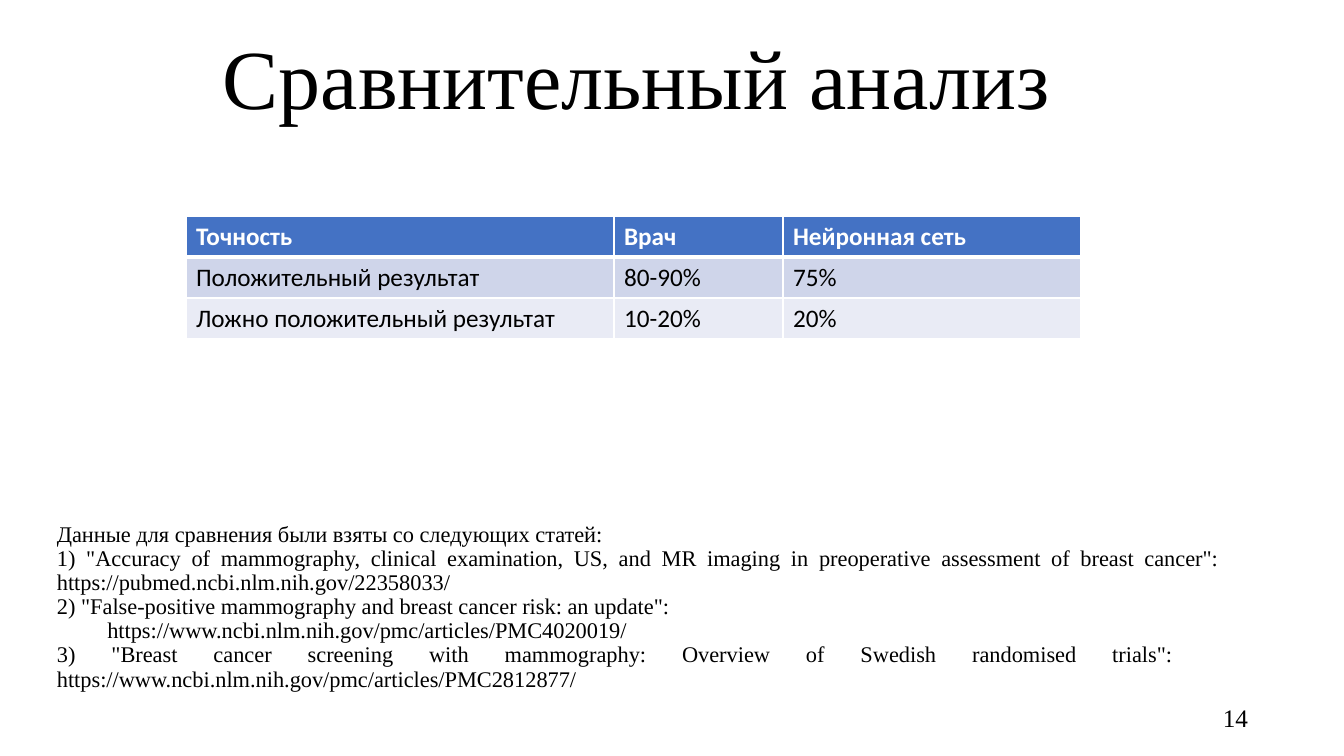
"""Build the slide comparing doctor and neural network accuracy."""
from lxml import etree
from pptx import Presentation
from pptx.dml.color import RGBColor
from pptx.enum.text import MSO_ANCHOR, PP_ALIGN
from pptx.oxml.ns import qn
from pptx.util import Pt

BOTTOM, MIDDLE = MSO_ANCHOR.BOTTOM, MSO_ANCHOR.MIDDLE
LEFT, RIGHT, JUSTIFY = PP_ALIGN.LEFT, PP_ALIGN.RIGHT, PP_ALIGN.JUSTIFY
SERIF, SANS = "Times New Roman", "Calibri"
COLORS = {"text": "000000", "white": "FFFFFF", "header": "4472C4",
          "band_dark": "CFD5EA", "band_light": "E9EBF5"}

TITLE = "Сравнительный анализ"
PAGE = "14"
ROWS = [
    ("Точность", "Врач", "Нейронная сеть"),
    ("Положительный результат", "80-90%", "75%"),
    ("Ложно положительный результат", "10-20%", "20%"),
]
ROW_FILLS = ["header", "band_dark", "band_light"]
COL_WIDTHS = [428, 169, 298]
ROW_HEIGHT = 41
SOURCES = [
    "Данные для сравнения были взяты со следующих статей:",
    '1) "Accuracy of mammography, clinical examination, US, and MR imaging in preoperative '
    'assessment of breast cancer": \thttps://pubmed.ncbi.nlm.nih.gov/22358033/',
    '2) "False-positive mammography and breast cancer risk: an update":',
    "\thttps://www.ncbi.nlm.nih.gov/pmc/articles/PMC4020019/",
    '3) "Breast cancer screening with mammography: Overview of Swedish randomised trials": '
    "\thttps://www.ncbi.nlm.nih.gov/pmc/articles/PMC2812877/",
]
TEXTS = [
    ((213, 0, 986, 133), [TITLE], 60, LEFT, BOTTOM, 0.9),
    ((1199, 697, 59, 40), [PAGE], 18, RIGHT, MIDDLE, 1.0),
    ((47, 493, 1211, 204), SOURCES, 16, JUSTIFY, BOTTOM, 0.9),
]


def px(n):
    return round(n * 914400 / 100.8)


def add_run(p, text, size, font, color, bold=False):
    r = p.add_run()
    r.text = text
    r.font.size, r.font.name, r.font.bold = Pt(size), font, bold
    r.font.color.rgb = RGBColor.from_string(COLORS[color])


def add_text(s, box, lines, size, align, anchor, spacing):
    tf = s.shapes.add_textbox(*map(px, box)).text_frame
    tf.word_wrap, tf.vertical_anchor = True, anchor
    for i, line in enumerate(lines):
        p = tf.add_paragraph() if i else tf.paragraphs[0]
        p.alignment, p.line_spacing = align, spacing
        add_run(p, line, size, SERIF, "text")


def add_border(cell, side, width):
    ln = etree.SubElement(cell._tc.get_or_add_tcPr(), qn(f"a:ln{side}"), w=str(Pt(width)))
    fill = etree.SubElement(ln, qn("a:solidFill"))
    etree.SubElement(fill, qn("a:srgbClr"), val=COLORS["white"])


def add_accuracy_table(s, left, top):
    size = px(sum(COL_WIDTHS)), px(ROW_HEIGHT * len(ROWS))
    table = s.shapes.add_table(len(ROWS), len(COL_WIDTHS), px(left), px(top), *size).table
    for col, width in zip(table.columns, COL_WIDTHS):
        col.width = px(width)
    for i, row in enumerate(ROWS):
        table.rows[i].height = px(ROW_HEIGHT)
        for j, text in enumerate(row):
            cell = table.cell(i, j)
            widths = {"L": 1, "R": 1, "T": 3 if i == 1 else 1, "B": 3 if i == 0 else 1}
            for side, width in widths.items():
                add_border(cell, side, width)
            cell.fill.solid()
            cell.fill.fore_color.rgb = RGBColor.from_string(COLORS[ROW_FILLS[i]])
            add_run(cell.text_frame.paragraphs[0], text, 18, SANS,
                    "text" if i else "white", i == 0)


def main():
    prs = Presentation()
    prs.slide_width, prs.slide_height = px(1344), px(756)
    s = prs.slides.add_slide(prs.slide_layouts[6])
    for text in TEXTS:
        add_text(s, *text)
    add_accuracy_table(s, 186, 216)
    prs.save("out.pptx")


if __name__ == "__main__":
    main()
